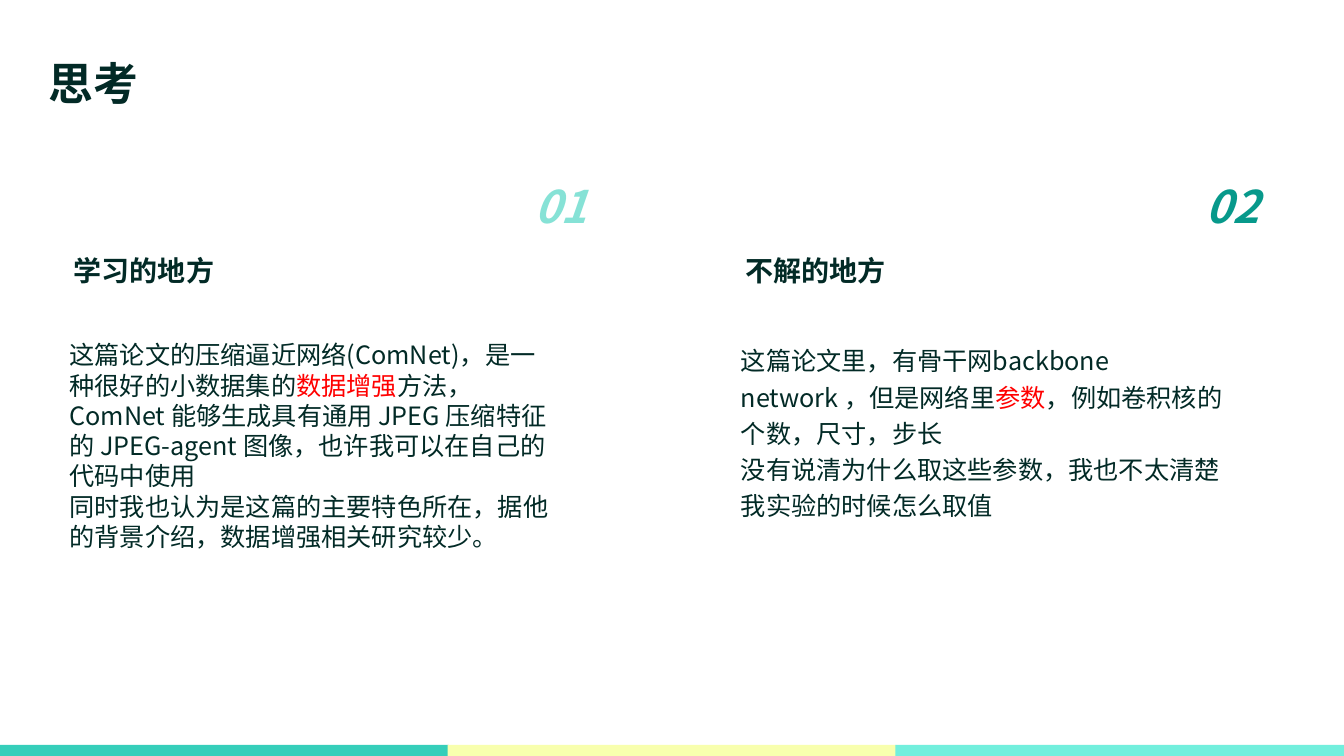
from lxml.etree import SubElement
from pptx import Presentation
from pptx.dml.color import RGBColor
from pptx.enum.shapes import MSO_SHAPE
from pptx.enum.text import MSO_ANCHOR, PP_ALIGN
from pptx.oxml.ns import qn
from pptx.util import Inches, Pt

FONT = "Noto Sans CJK SC"
COLORS = {
    "ink": "022A26", "red": "FF0000", "white": "FFFFFF",
    "teal": "35CEBA", "lemon": "F8FFAE", "aqua": "72EFDD",
    "mint": "86E2D6", "deep": "07998B",
}

presentation = Presentation()
presentation.slide_width = Inches(13.33)
presentation.slide_height = Inches(7.5)
slide = presentation.slides.add_slide(presentation.slide_layouts[6])


def add_block(kind, left, top, width, height, fill=None):
    box = [Inches(length) for length in (left, top, width, height)]
    if kind is None:
        return slide.shapes.add_textbox(*box)
    block = slide.shapes.add_shape(kind, *box)
    block.shadow.inherit = False
    block.line.fill.background()
    block.fill.solid()
    block.fill.fore_color.rgb = RGBColor.from_string(COLORS[fill])
    return block


def write(block, paragraphs, size, spacing=1.0, anchor=MSO_ANCHOR.TOP, wrap=True, **style):
    frame = block.text_frame
    frame.word_wrap = wrap
    frame.vertical_anchor = anchor
    for index, pieces in enumerate(paragraphs):
        paragraph = frame.paragraphs[0] if index == 0 else frame.add_paragraph()
        paragraph.alignment = PP_ALIGN.LEFT
        paragraph.line_spacing = spacing
        for text, color in pieces:
            run = paragraph.add_run()
            run.text = text
            for name, value in {"size": Pt(size), "name": FONT, **style}.items():
                setattr(run.font, name, value)
            run.font.color.rgb = RGBColor.from_string(COLORS[color])
            # East Asian glyphs use the same typeface
            SubElement(run.font._element, qn("a:ea"), typeface=FONT)


# Footer stripes
for index, color in enumerate(("teal", "lemon", "aqua")):
    add_block(MSO_SHAPE.RECTANGLE, index * 4.44, 7.39, 4.45, 0.11, color)

# Title
title = add_block(None, 0.38, 0.37, 12.57, 0.79)
write(title, [[("思考", "ink")]], 32, spacing=1.2, anchor=MSO_ANCHOR.MIDDLE, bold=True)

# Two columns: heading, number and body
learned = [
    [("这篇论文的压缩逼近网络(ComNet)，是一种很好的小数据集的", "ink"),
     ("数据增强", "red"),
     ("方法，ComNet 能够生成具有通用 JPEG 压缩特征的 JPEG-agent 图像，也许我可以在自己的代码中使用", "ink")],
    [("同时我也认为是这篇的主要特色所在，据他的背景介绍，数据增强相关研究较少。", "ink")],
]
puzzling = [
    [("这篇论文里，有骨干网backbone network ，但是网络里", "ink"),
     ("参数", "red"),
     ("，例如卷积核的个数，尺寸，步长", "ink")],
    [("没有说清为什么取这些参数，我也不太清楚我实验的时候怎么取值", "ink")],
]
columns = [
    (0.59, "学习的地方", "01", "mint", learned, 1.0, 2.22),
    (7.25, "不解的地方", "02", "deep", puzzling, 1.2, 1.9),
]
for left, heading, number, color, body, spacing, height in columns:
    panel = add_block(MSO_SHAPE.ROUNDED_RECTANGLE, left, 2.23, 5.06, 0.91, "white")
    panel_color = panel._element.spPr.find(qn("a:solidFill"))[0]
    SubElement(panel_color, qn("a:alpha"), val="15000")
    write(panel, [[(heading, "ink")]], 20, anchor=MSO_ANCHOR.MIDDLE, bold=True)

    ordinal = add_block(None, left + 4.61, 1.72, 0.8, 1.29)
    write(ordinal, [[(number, color)]], 32, wrap=False, bold=True, italic=True)

    write(add_block(None, left, 3.32, 5.06, height), body, 18, spacing=spacing)

presentation.save("out.pptx")
